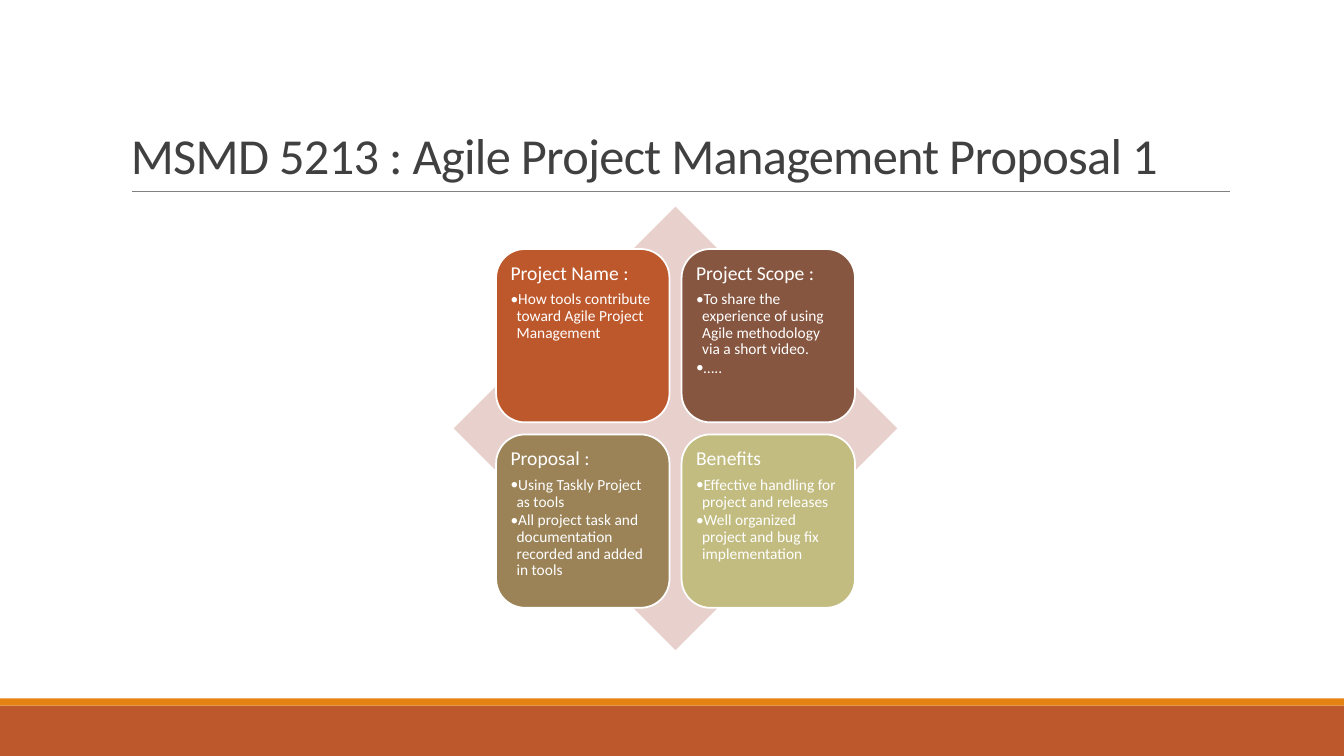
from lxml.etree import SubElement
from pptx import Presentation
from pptx.dml.color import RGBColor
from pptx.enum.shapes import MSO_CONNECTOR, MSO_SHAPE
from pptx.enum.text import MSO_ANCHOR, PP_ALIGN
from pptx.oxml.ns import qn
from pptx.util import Inches, Pt

FONT = "Calibri"
COLORS = {
    "white": "FFFFFF", "title": "404040", "rule": "808080",
    "rust": "BD582C", "orange": "E48312", "diamond": "E8D1CD",
    "brown": "865640", "khaki": "9B8357", "olive": "C2BC80",
}
CARDS = [
    ("rust", "Project Name :", ["How tools contribute toward Agile Project Management"]),
    ("brown", "Project Scope :", [
        "To share the experience of using Agile methodology via a short video.",
        "…..",
    ]),
    ("khaki", "Proposal :", [
        "Using Taskly Project as tools",
        "All project task and documentation recorded and added in tools",
    ]),
    ("olive", "Benefits", [
        "Effective handling for project and releases",
        "Well organized project and bug fix implementation",
    ]),
]


def color(name):
    return RGBColor.from_string(COLORS[name])


def add_filled(page, kind, box, fill):
    """Add a preset shape with a flat fill, no line and no shadow."""
    shape = page.shapes.add_shape(kind, *(Inches(length) for length in box))
    shape.shadow.inherit = False
    shape.fill.solid()
    shape.fill.fore_color.rgb = color(fill)
    shape.line.fill.background()
    return shape


def add_span(para, text, size, fill):
    span = para.add_run()
    span.text = text
    span.font.name = FONT
    span.font.size = Pt(size)
    span.font.color.rgb = color(fill)
    return span


def set_bullet(para, indent):
    properties = para._p.get_or_add_pPr()
    properties.set("marL", str(Inches(indent)))
    properties.set("indent", str(-Inches(indent)))
    SubElement(properties, qn("a:buFont")).set("typeface", FONT)
    SubElement(properties, qn("a:buChar")).set("char", "•")


def add_footer(page, box):
    left, top, width, height = box
    stripe = 0.07
    add_filled(page, MSO_SHAPE.RECTANGLE, (left, top + stripe, width, height - stripe), "rust")
    add_filled(page, MSO_SHAPE.RECTANGLE, (left, top, width, stripe), "orange")


def add_title(page, box, text):
    """Place the title at the foot of the box, with a thin rule below it."""
    left, top, width, height = box
    title = page.shapes.add_textbox(*(Inches(length) for length in box))
    frame = title.text_frame
    frame.word_wrap = True
    frame.vertical_anchor = MSO_ANCHOR.BOTTOM
    para = frame.paragraphs[0]
    para.line_spacing = 0.85
    span = add_span(para, text, 36, "title")
    span.font._element.set("spc", "-50")

    rule_left, rule_top = Inches(left + 0.11), Inches(top + height + 0.02)
    rule = page.shapes.add_connector(
        MSO_CONNECTOR.STRAIGHT, rule_left, rule_top, rule_left + Inches(width - 0.11), rule_top)
    rule.line.color.rgb = color("rule")
    rule.line.width = Pt(0.5)
    SubElement(rule._element.spPr, qn("a:effectLst"))


def add_card(page, box, fill, heading, points):
    card = add_filled(page, MSO_SHAPE.ROUNDED_RECTANGLE, box, fill)
    card.line.color.rgb = color("white")
    card.line.width = Pt(1.25)
    frame = card.text_frame
    frame.word_wrap = True
    frame.vertical_anchor = MSO_ANCHOR.TOP
    frame.margin_left = frame.margin_right = Inches(0.06)
    frame.margin_top = frame.margin_bottom = Inches(0.06)

    para = frame.paragraphs[0]
    para.alignment = PP_ALIGN.LEFT
    para.line_spacing = 0.9
    para.space_after = Pt(5)
    add_span(para, heading, 14, "white")
    for point in points:
        para = frame.add_paragraph()
        para.alignment = PP_ALIGN.LEFT
        para.line_spacing = 0.9
        para.space_after = Pt(1.5)
        set_bullet(para, 0.06)
        add_span(para, point, 11, "white")


def add_matrix(page, box, cards):
    """Centre a two-by-two grid of cards on a diamond that fills the box."""
    left, top, width, height = box
    side, gap = 1.72, 0.12
    grid = 2 * side + gap
    add_filled(page, MSO_SHAPE.DIAMOND, box, "diamond")
    for index, card in enumerate(cards):
        row, column = divmod(index, 2)
        card_left = left + (width - grid) / 2 + column * (side + gap)
        card_top = top + (height - grid) / 2 + row * (side + gap)
        add_card(page, (card_left, card_top, side, side), *card)


def main():
    deck = Presentation()
    deck.slide_width, deck.slide_height = Inches(13.33), Inches(7.5)
    page = deck.slides.add_slide(deck.slide_layouts[6])
    add_footer(page, (0, 6.93, 13.33, 0.57))
    add_title(page, (1.2, 0.29, 11, 1.59), "MSMD 5213 : Agile Project Management Proposal 1")
    add_matrix(page, (4.5, 2.05, 4.4, 4.4), CARDS)
    deck.save("out.pptx")


if __name__ == "__main__":
    main()
